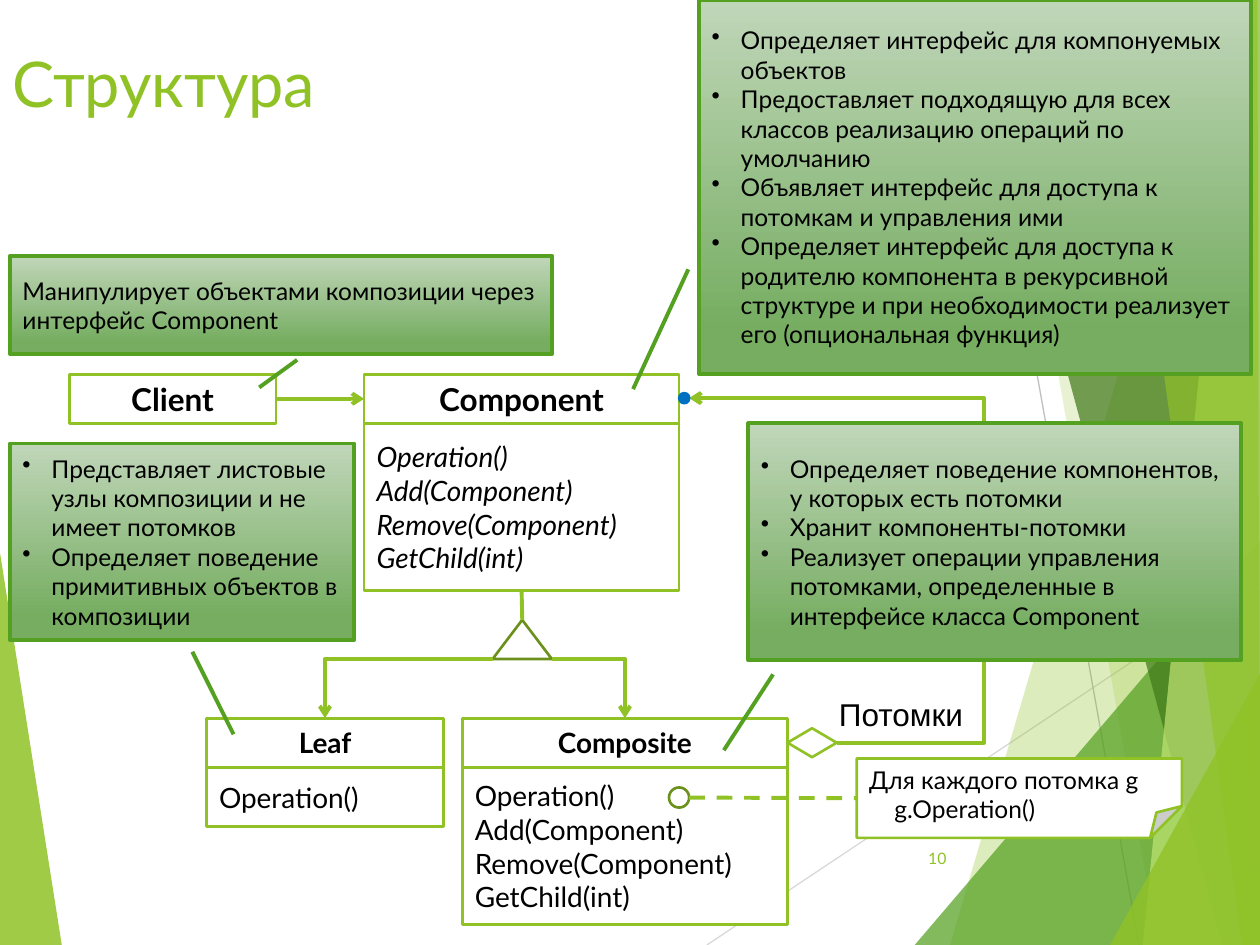
from dataclasses import dataclass

from lxml.etree import SubElement
from pptx import Presentation
from pptx.dml.color import RGBColor
from pptx.enum.dml import MSO_LINE
from pptx.enum.shapes import MSO_CONNECTOR, MSO_SHAPE
from pptx.enum.text import MSO_ANCHOR, PP_ALIGN
from pptx.oxml.ns import qn
from pptx.util import Inches, Pt

CELL = Inches(0.1)  # the slide is a grid of 100 columns and 75 rows
COLUMNS, ROWS = 100, 75
HEADER_ROWS = 3.9
COLORS = {
    "lime": "90C226", "olive": "6B901C", "green": "54A021", "forest": "3F7819",
    "pale lime": "C0E474", "callout top": "C0D6B9", "callout bottom": "76AD61",
    "light gray": "D9D9D9", "gray": "BFBFBF", "blue": "0070C0",
    "white": "FFFFFF", "black": "000000",
}
# Colour, opacity in percent, corners in percent of the slide
FACETS = [
    ("lime", 85, [(0, 58.5), (4.9, 100), (0, 100)]),
    ("lime", 30, [(97.5, 0), (75.4, 100), (100, 100), (100, 0)]),
    ("lime", 20, [(78.8, 0), (91.9, 100), (100, 100), (100, 0)]),
    ("green", 72, [(72.6, 100), (100, 57.2), (100, 100)]),
    ("forest", 70, [(76.7, 0), (97, 100), (100, 100), (100, 0)]),
    ("pale lime", 70, [(98.1, 0), (90.7, 100), (100, 100), (100, 0)]),
    ("lime", 65, [(88.3, 0), (98.6, 100), (100, 100), (99.8, 0)]),
    ("lime", 80, [(88.1, 100), (100, 71.3), (100, 100)]),
]
RAYS = [("light gray", (56.1, 100), (100, 61)), ("gray", (77, 0), (90.4, 100))]
COMPONENT_OPERATIONS = ["Operation()", "Add(Component)", "Remove(Component)", "GetChild(int)"]


@dataclass
class Box:
    """A region in columns and rows of the grid."""
    left: float
    top: float
    width: float
    height: float

    def emu(self):
        return [round(n * CELL) for n in (self.left, self.top, self.width, self.height)]

    def point(self, x, y):
        """The grid point at x and y percent of the box."""
        return self.left + self.width * x / 100, self.top + self.height * y / 100


def rgb(name):
    return RGBColor.from_string(COLORS[name])


def write(shape, lines, size, color="black", font="Lato", bold=False, italic=False,
          align=PP_ALIGN.LEFT, anchor=MSO_ANCHOR.MIDDLE):
    frame = shape.text_frame
    frame.word_wrap = True
    frame.vertical_anchor = anchor
    frame.text = "\n".join(lines)
    for para in frame.paragraphs:
        para.alignment = align
        para.font.name, para.font.size = font, Pt(size)
        para.font.bold, para.font.italic = bold, italic
        para.font.color.rgb = rgb(color)


def indent(para, left, first=0):
    properties = para._p.get_or_add_pPr()
    properties.set("marL", str(Inches(left)))
    properties.set("indent", str(Inches(first)))
    return properties


def set_guides(shape, **shares):
    """Set the named shape adjustments as shares of the shape's size."""
    guides = shape._element.spPr.find(qn("a:prstGeom")).get_or_add_avLst()
    for guide in list(guides):
        guides.remove(guide)
    for name, share in shares.items():
        SubElement(guides, qn("a:gd"), name=name, fmla=f"val {round(share * 100000)}")


def add_label(page, box, text, size, **style):
    write(page.shapes.add_textbox(*box.emu()), [text], size, **style)


def add_figure(page, kind, box, fill=None, line="lime", width=1.5):
    shape = page.shapes.add_shape(kind, *box.emu())
    shape.shadow.inherit = False
    if fill:
        shape.fill.solid()
        shape.fill.fore_color.rgb = rgb(fill)
    else:
        shape.fill.background()
    shape.line.color.rgb = rgb(line)
    shape.line.width = Pt(width)
    return shape


def add_link(page, start, end, kind=MSO_CONNECTOR.STRAIGHT, color="lime", width=2.25, arrow=False):
    link = page.shapes.add_connector(kind, *(round(n * CELL) for n in (*start, *end)))
    link.line.color.rgb = rgb(color)
    link.line.width = Pt(width)
    if arrow:
        SubElement(link.line._ln, qn("a:tailEnd"), type="arrow")
    SubElement(link._element.spPr, qn("a:effectLst"))
    return link


def add_facet(page, box, color, opacity, corners):
    points = [tuple(round(n * CELL) for n in box.point(*corner)) for corner in corners]
    builder = page.shapes.build_freeform(*points[0])
    builder.add_line_segments(points[1:], close=True)
    facet = builder.convert_to_shape()
    facet.shadow.inherit = False
    facet.fill.solid()
    facet.fill.fore_color.rgb = rgb(color)
    tint = facet._element.spPr.find(qn("a:solidFill"))[0]
    SubElement(tint, qn("a:alpha"), val=str(opacity * 1000))
    facet.line.fill.background()


def add_backdrop(page, box):
    add_facet(page, box, *FACETS[0])
    for color, start, end in RAYS:
        add_link(page, box.point(*start), box.point(*end), color=color, width=0.75)
    for facet in FACETS[1:]:
        add_facet(page, box, *facet)


def add_class(page, box, name, operations=(), name_size=16, italic=False):
    """Draw a class and return its name cell and its operations cell."""
    header = add_figure(page, MSO_SHAPE.RECTANGLE,
                        Box(box.left, box.top, box.width, HEADER_ROWS), "white")
    write(header, [name], name_size, bold=True, align=PP_ALIGN.CENTER)
    if not operations:
        return header, None
    body = add_figure(page, MSO_SHAPE.RECTANGLE,
                      Box(box.left, box.top + HEADER_ROWS, box.width, box.height - HEADER_ROWS),
                      "white")
    write(body, operations, 16, italic=italic)
    return header, body


def add_callout(page, box, pointer, lines, bulleted=True):
    """Draw a callout; pointer holds start y, start x, end y, end x as shares of the box."""
    shape = add_figure(page, MSO_SHAPE.LINE_CALLOUT_1, box, line="green", width=2.25)
    set_guides(shape, **{f"adj{n}": share for n, share in enumerate(pointer, 1)})
    shape.fill.gradient()
    shape.fill.gradient_angle = 270
    stops = zip(shape.fill.gradient_stops, ("callout top", "callout bottom"), (0, 0.88))
    for stop, color, position in stops:
        stop.color.rgb = rgb(color)
        stop.position = position
    write(shape, lines, 14)
    if bulleted:
        for para in shape.text_frame.paragraphs:
            properties = indent(para, 0.23, -0.23)
            marker = properties.makeelement(qn("a:buChar"), {"char": "•"})
            properties.insert(0, marker)


def add_note(page, box):
    note = add_figure(page, MSO_SHAPE.FOLDED_CORNER, box, "white")
    set_guides(note, adj=0.4)
    write(note, ["Для каждого потомка g", "g.Operation()"], 14, anchor=MSO_ANCHOR.TOP)
    indent(note.text_frame.paragraphs[1], 0.2)
    return note


def add_inheritance(page, box, parent):
    """Draw the triangle in the box and its branches to Leaf and Composite."""
    add_figure(page, MSO_SHAPE.ISOSCELES_TRIANGLE, box, line="olive")
    stem = add_link(page, box.point(50, -70), box.point(50, 0))
    stem.begin_connect(parent, 2)
    for corner, child_x in ((0, 25.8), (100, 49.6)):
        branch = add_link(page, box.point(corner, 100), (child_x, 57),
                          MSO_CONNECTOR.ELBOW, arrow=True)
        branch._element.spPr.find(qn("a:prstGeom")).set("prst", "bentConnector2")


def add_aggregation(page, diamond):
    """Draw the loop from the diamond back to Component."""
    loop = add_link(page, diamond.point(100, 50), (54.7, 31.6), MSO_CONNECTOR.ELBOW, arrow=True)
    set_guides(loop, adj1=-1)
    add_figure(page, MSO_SHAPE.DIAMOND, diamond, "white")
    add_figure(page, MSO_SHAPE.OVAL, Box(53.9, 31.2, 0.8, 0.8), "blue", "blue")
    add_label(page, Box(65.6, 54.7, 12.5, 4), "Потомки", 18, font="Arial", anchor=MSO_ANCHOR.TOP)


def add_diagram(page):
    client, _ = add_class(page, Box(5.5, 29.7, 16.4, HEADER_ROWS), "Client", name_size=18)
    component, operations = add_class(page, Box(28.9, 29.7, 25, 17.2), "Component",
                                      COMPONENT_OPERATIONS, 18, italic=True)
    add_class(page, Box(16.4, 57, 18.8, 8.6), "Leaf", COMPONENT_OPERATIONS[:1])
    add_class(page, Box(36.7, 57, 25.8, 16.4), "Composite", COMPONENT_OPERATIONS)
    use = add_link(page, (21.9, 31.6), (28.9, 31.6), arrow=True)
    use.begin_connect(client, 3)
    use.end_connect(component, 1)
    add_inheritance(page, Box(39.1, 49.2, 4.7, 3.1), operations)
    add_aggregation(page, Box(62.5, 57.8, 3.9, 2.3))
    note = add_note(page, Box(68, 60.2, 25.8, 6.3))
    add_figure(page, MSO_SHAPE.OVAL, Box(53.1, 62.5, 1.6, 1.6), line="olive")
    anchor_line = add_link(page, (54.7, 63.3), (68, 63.3))
    anchor_line.line.dash_style = MSO_LINE.DASH
    anchor_line.end_connect(note, 1)


def add_callouts(page):
    add_callout(page, Box(55.5, 0, 43.8, 29.7), (0.72, -0.02, 1.04, -0.12), [
        "Определяет интерфейс для компонуемых объектов",
        "Предоставляет подходящую для всех классов реализацию операций по умолчанию",
        "Объявляет интерфейс для доступа к потомкам и управления ими",
        "Определяет интерфейс для доступа к родителю компонента в рекурсивной структуре "
        "и при необходимости реализует его (опциональная функция)"])
    add_callout(page, Box(0.8, 35.2, 27.3, 15.6), (1.06, 0.53, 1.48, 0.65), [
        "Представляет листовые узлы композиции и не имеет потомков",
        "Определяет поведение примитивных объектов в композиции"])
    add_callout(page, Box(59.4, 33.6, 39.1, 18.8), (1.06, 0.05, 1.38, -0.05), [
        "Определяет поведение компонентов, у которых есть потомки",
        "Хранит компоненты-потомки",
        "Реализует операции управления потомками, определенные в интерфейсе класса Component"])
    add_callout(page, Box(0.8, 20.3, 43, 7.8), (1.06, 0.53, 1.34, 0.46), [
        "Манипулирует объектами композиции через интерфейс Component"], bulleted=False)


def main():
    deck = Presentation()
    deck.slide_width, deck.slide_height = COLUMNS * CELL, ROWS * CELL
    page = deck.slides.add_slide(deck.slide_layouts[6])
    add_backdrop(page, Box(0, 0, COLUMNS, ROWS))
    add_label(page, Box(0, 3, 90, 12.5), "Структура", 36, color="lime", anchor=MSO_ANCHOR.TOP)
    add_diagram(page)
    add_callouts(page)
    add_label(page, Box(70.5, 66.1, 5.6, 4), "10", 9, color="lime", align=PP_ALIGN.RIGHT)
    deck.save("out.pptx")


if __name__ == "__main__":
    main()
